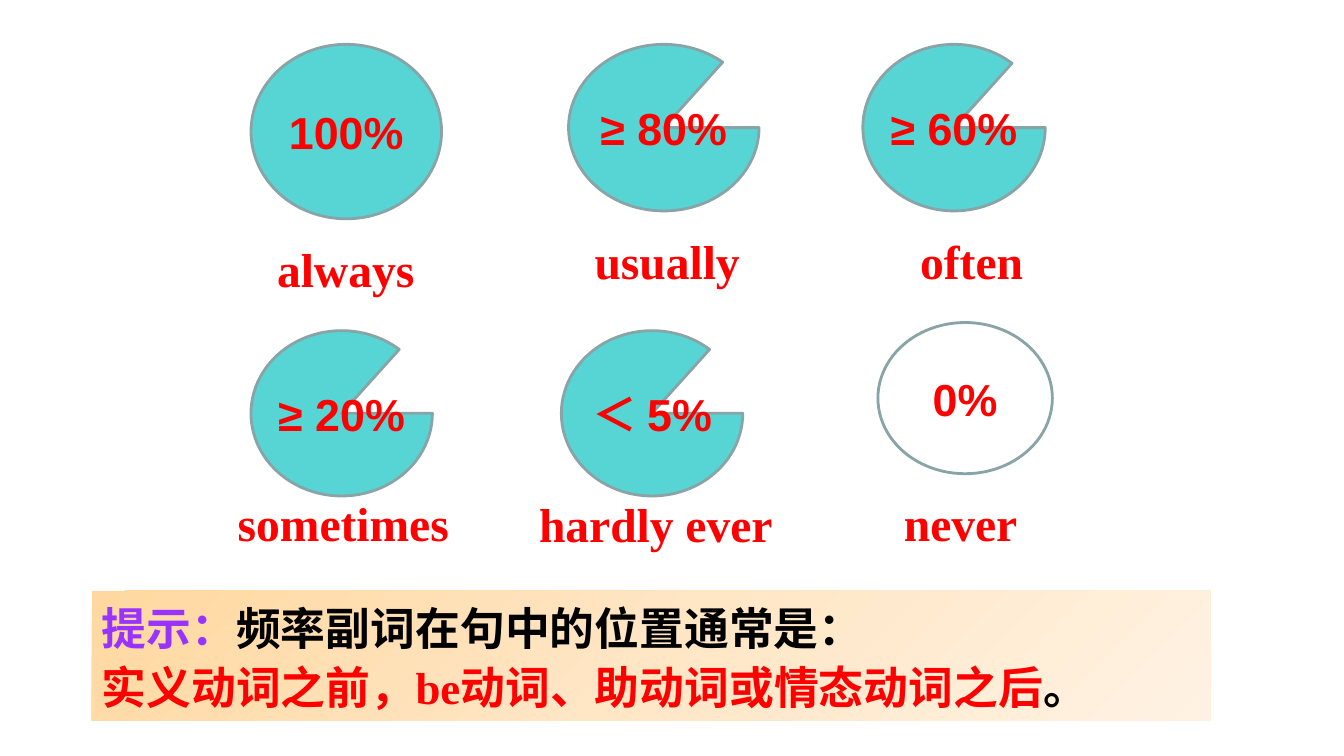
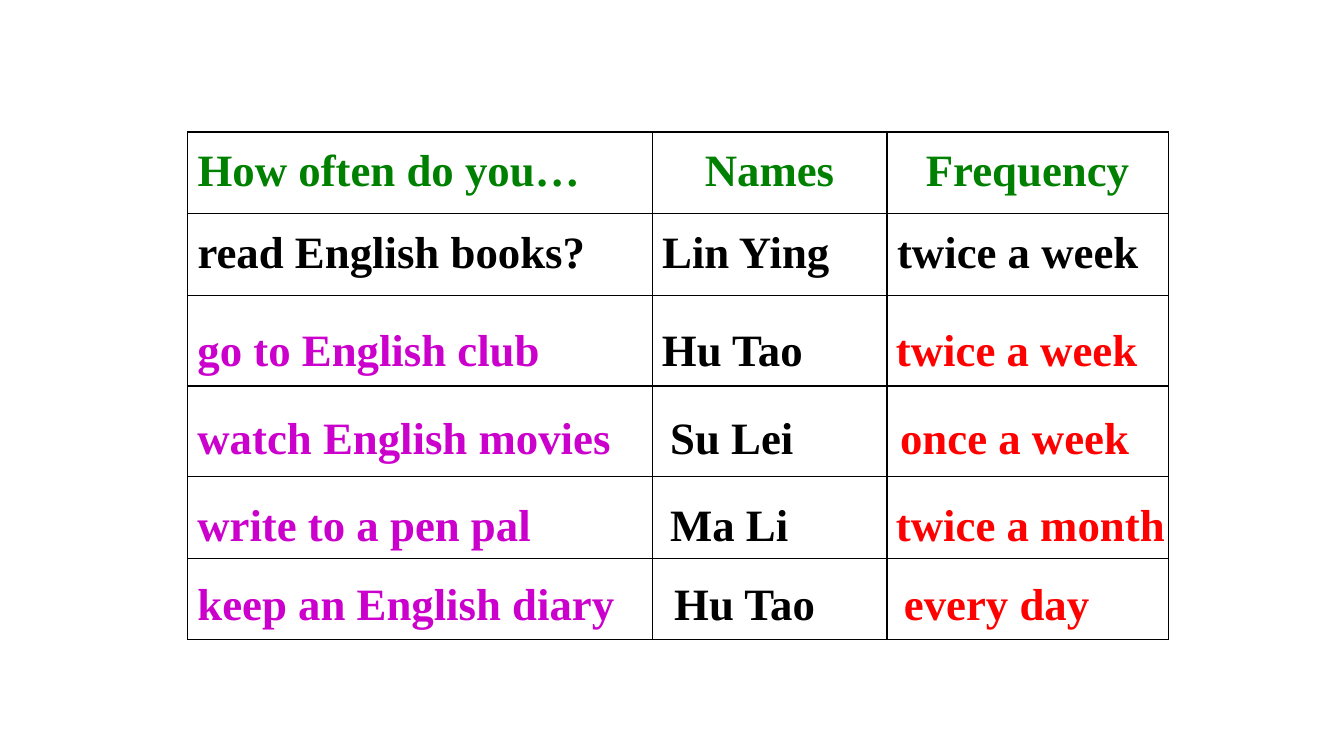
"""Build two slides on adverbs of frequency and how often things are done."""
import copy
from dataclasses import dataclass
from typing import Optional

import lxml.etree
import pptx
import pptx.dml.color
import pptx.enum.shapes
import pptx.enum.text
import pptx.oxml.ns
import pptx.util

Pt = pptx.util.Pt
RGBColor = pptx.dml.color.RGBColor
MSO_SHAPE = pptx.enum.shapes.MSO_SHAPE
PP_ALIGN = pptx.enum.text.PP_ALIGN
qn = pptx.oxml.ns.qn

BLACK = RGBColor(0x00, 0x00, 0x00)
WHITE = RGBColor(0xFF, 0xFF, 0xFF)
RED = RGBColor(0xFF, 0x00, 0x00)
GREEN = RGBColor(0x00, 0x80, 0x00)
MAGENTA = RGBColor(0xCC, 0x00, 0xCC)
VIOLET = RGBColor(0x99, 0x33, 0xFF)
TEAL = RGBColor(0x33, 0xCC, 0xCC)
OUTLINE = RGBColor(0x89, 0xA4, 0xA7)
TIP_COLORS = (RGBColor(0xFF, 0xD8, 0xA0), RGBColor(0xFF, 0xE6, 0xC5),
              RGBColor(0xFF, 0xF2, 0xE3))
SERIF = "Times New Roman"
SANS = "Arial"


@dataclass(frozen=True)
class Box:
    left: float
    top: float
    width: float
    height: float

    def lengths(self) -> tuple:
        return Pt(self.left), Pt(self.top), Pt(self.width), Pt(self.height)


@dataclass(frozen=True)
class Adverb:
    word: str
    share: str
    disc: Box
    label: Box
    preset: MSO_SHAPE = MSO_SHAPE.PIE
    fill: RGBColor = TEAL


@dataclass(frozen=True)
class Habit:
    top: float
    activity: str
    name: str
    name_left: float
    frequency: str
    frequency_left: float


ADVERBS = (
    Adverb("always", "100%", Box(179.3, 31.7, 136.1, 124.6),
           Box(190.8, 167.8, 130.3, 48.2), MSO_SHAPE.OVAL),
    Adverb("usually", "≥ 80%", Box(406.1, 31.7, 136.1, 119),
           Box(417.6, 162, 136.1, 48.2)),
    Adverb("often", "≥ 60%", Box(616.3, 31.7, 130.3, 119),
           Box(650.2, 162, 118.8, 48.2)),
    Adverb("sometimes", "≥ 20%", Box(179.3, 236.2, 129.6, 118.1),
           Box(162.7, 349.2, 190.1, 48.2)),
    Adverb("hardly ever", "＜ 5%", Box(401, 236.2, 129.6, 118.1),
           Box(378, 349.9, 203.8, 48.2)),
    Adverb("never", "0%", Box(627.1, 230.4, 124.6, 108),
           Box(638.6, 349.2, 102.2, 48.2), MSO_SHAPE.OVAL, WHITE),
)
TIP_LINES = (
    (("提示：", VIOLET), ("频率副词在句中的位置通常是：", BLACK)),
    (("实义动词之前，be动词、助动词或情态动词之后", RED), ("。", BLACK)),
)
TABLE_BOX = Box(133.9, 94.3, 700.6, 362.9)
COL_WIDTHS = (331.9, 167.8, 200.9)
ROW_HEIGHTS = (58.3, 58.3, 64.8, 64.8, 58.3, 58.3)
TABLE_ROWS = (
    (("How often do you…", "Names", "Frequency"), GREEN),
    (("read English books?", "Lin Ying", "twice a week"), BLACK),
)
HABITS = (
    Habit(218.9, "go to English club", "Hu Tao", 465.8, "twice a week", 632.9),
    Habit(281.5, "watch English movies", "Su Lei", 471.6, "once a week", 635.8),
    Habit(343.4, "write to a pen pal", "Ma Li", 471.6, "twice a month", 632.9),
    Habit(400.3, "keep an English diary", "Hu Tao", 474.5, "every day", 638.6),
)


def add_text(p, text: str, *, color: RGBColor = RED, size: float = 32,
             font: str = SERIF, align: Optional[PP_ALIGN] = None,
             spacing: Optional[float] = None) -> None:
    r = p.add_run()
    r.text = text
    r.font.name = font
    r.font.size = Pt(size)
    r.font.bold = True
    r.font.color.rgb = color
    if align is not None:
        p.alignment = align
    if spacing is not None:
        p.line_spacing = spacing


def add_box(s, box: Box):
    sp = s.shapes.add_textbox(*box.lengths())
    sp.text_frame.word_wrap = True
    sp.text_frame.auto_size = pptx.enum.text.MSO_AUTO_SIZE.SHAPE_TO_FIT_TEXT
    return sp


def add_adverb(s, adverb: Adverb) -> None:
    sp = s.shapes.add_shape(adverb.preset, *adverb.disc.lengths())
    sp.shadow.inherit = False
    if adverb.preset == MSO_SHAPE.PIE:
        sp.adjustments[0] = 0
        sp.adjustments[1] = 312 * 0.6
    sp.fill.solid()
    sp.fill.fore_color.rgb = adverb.fill
    if adverb.fill == TEAL:
        color = sp.fill._xPr.find(qn("a:solidFill"))[0]
        lxml.etree.SubElement(color, qn("a:alpha"), val="82000")
    sp.line.color.rgb = OUTLINE
    sp.line.width = Pt(2)
    tf = sp.text_frame
    tf.word_wrap = True
    tf.vertical_anchor = pptx.enum.text.MSO_ANCHOR.MIDDLE
    add_text(tf.paragraphs[0], adverb.share, font=SANS, align=PP_ALIGN.CENTER)
    label = add_box(s, adverb.label)
    add_text(label.text_frame.paragraphs[0], adverb.word, size=34)


def add_tip(s) -> None:
    sp = add_box(s, Box(65.5, 421.9, 799.2, 92.9))
    sp.fill.gradient()
    sp.fill.gradient_angle = 315
    stops = sp.fill._xPr.find(qn("a:gradFill")).find(qn("a:gsLst"))
    stops.insert(1, copy.deepcopy(stops[0]))
    for i, (stop, color) in enumerate(zip(sp.fill.gradient_stops, TIP_COLORS)):
        stop.position = i / 2
        stop.color.rgb = color
    tf = sp.text_frame
    for i, line in enumerate(TIP_LINES):
        p = tf.add_paragraph() if i else tf.paragraphs[0]
        for text, color in line:
            add_text(p, text, color=color, spacing=1.1)


def style_cell(cell) -> None:
    tc_pr = cell._tc.get_or_add_tcPr()
    for side in ("lnL", "lnR", "lnT", "lnB"):
        ln = lxml.etree.SubElement(tc_pr, qn(f"a:{side}"), w=str(Pt(1)))
        fill = lxml.etree.SubElement(ln, qn("a:solidFill"))
        lxml.etree.SubElement(fill, qn("a:srgbClr"), val=str(BLACK))
    cell.fill.background()


def add_survey_table(s) -> None:
    table = s.shapes.add_table(len(ROW_HEIGHTS), len(COL_WIDTHS),
                               *TABLE_BOX.lengths()).table
    table.first_row = table.horz_banding = False
    for col, width in zip(table.columns, COL_WIDTHS):
        col.width = Pt(width)
    for row, height in zip(table.rows, ROW_HEIGHTS):
        row.height = Pt(height)
    for cell in table.iter_cells():
        style_cell(cell)
    for i, (texts, color) in enumerate(TABLE_ROWS):
        for j, text in enumerate(texts):
            align = PP_ALIGN.CENTER if i == 0 and j else PP_ALIGN.LEFT
            add_text(table.cell(i, j).text_frame.paragraphs[0], text,
                     color=color, align=align, spacing=1.2)


def add_habit(s, habit: Habit) -> None:
    for text, left, width, color in (
            (habit.activity, TABLE_BOX.left, 326.2, MAGENTA),
            (habit.name, habit.name_left, 141.8, BLACK),
            (habit.frequency, habit.frequency_left, 212.4, RED)):
        sp = add_box(s, Box(left, habit.top, width, 54))
        add_text(sp.text_frame.paragraphs[0], text, color=color, spacing=1.2)


def main() -> None:
    prs = pptx.Presentation()
    prs.slide_width, prs.slide_height = Pt(960), Pt(540)
    blank = prs.slide_layouts[6]

    s = prs.slides.add_slide(blank)
    for adverb in ADVERBS:
        add_adverb(s, adverb)
    add_tip(s)

    s = prs.slides.add_slide(blank)
    add_survey_table(s)
    for habit in HABITS:
        add_habit(s, habit)

    prs.save("out.pptx")


if __name__ == "__main__":
    main()
